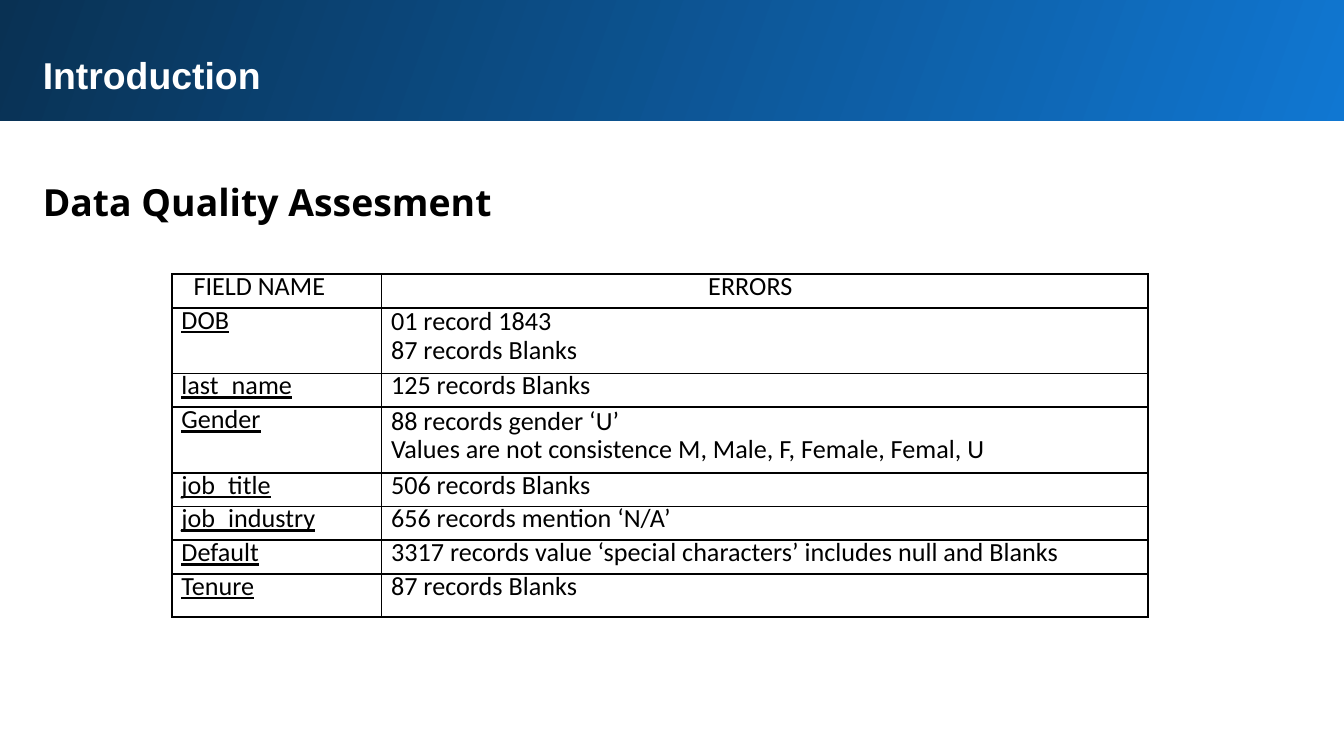
"""Build the data quality introduction slide with its table of field errors."""
from dataclasses import dataclass

import lxml.etree
import pptx
import pptx.dml.color
import pptx.enum.shapes
import pptx.enum.text
import pptx.oxml.ns
import pptx.util

Inches = pptx.util.Inches
Pt = pptx.util.Pt

BLACK = "000000"
WHITE = "FFFFFF"
SLIDE_WIDTH = 10
CELL_INDENT = 0.07
COLUMN_WIDTHS = (1.56, 5.7)
HEADER_CELLS = (("FIELD NAME", 0.16), ("ERRORS", 2.43))


@dataclass
class Heading:
    text: str
    top: float
    height: float
    font: str
    color: str
    line_spacing: float


@dataclass
class FieldErrors:
    field: str
    errors: tuple[str, ...]
    height: float = 0.25


HEADINGS = (
    Heading("Introduction", 0.29, 0.51, "Arial", WHITE, 1.0),
    Heading("Data Quality Assesment", 1.18, 0.56, "Open Sans", BLACK, 1.15),
)
FIELDS = (
    FieldErrors("DOB", ("01 record 1843", "87 records Blanks"), 0.49),
    FieldErrors("last_name", ("125 records Blanks",)),
    FieldErrors(
        "Gender",
        ("88 records gender ‘U’", "Values are not consistence M, Male, F, Female, Femal, U"),
        0.49,
    ),
    FieldErrors("job_title", ("506 records Blanks",)),
    FieldErrors("job_industry", ("656 records mention ‘N/A’",)),
    FieldErrors("Default", ("3317 records value ‘special characters’ includes null and Blanks",)),
    FieldErrors("Tenure", ("87 records Blanks",), 0.32),
)


def rgb(value: str) -> pptx.dml.color.RGBColor:
    return pptx.dml.color.RGBColor.from_string(value)


def add_run(p, text: str, size: float, font: str, color: str):
    r = p.add_run()
    r.text = text
    r.font.size = Pt(size)
    r.font.name = font
    r.font.color.rgb = rgb(color)
    return r


def add_banner(s) -> None:
    sp = s.shapes.add_shape(
        pptx.enum.shapes.MSO_SHAPE.RECTANGLE,
        Inches(-0.02), Inches(-0.02), Inches(10.05), Inches(0.92),
    )
    sp.shadow.inherit = False
    sp.line.fill.background()
    sp.fill.gradient()
    sp.fill.gradient_angle = 160
    for stop, color in zip(sp.fill.gradient_stops, ("1077D2", "093153")):
        stop.color.rgb = rgb(color)


def add_heading(s, heading: Heading) -> None:
    sp = s.shapes.add_textbox(
        Inches(0.22), Inches(heading.top), Inches(9.37), Inches(heading.height)
    )
    tf = sp.text_frame
    tf.word_wrap = True
    tf.auto_size = pptx.enum.text.MSO_AUTO_SIZE.SHAPE_TO_FIT_TEXT
    tf.margin_left = tf.margin_right = tf.margin_top = tf.margin_bottom = Inches(0.1)
    p = tf.paragraphs[0]
    p.line_spacing = heading.line_spacing
    r = add_run(p, heading.text, 20, heading.font, heading.color)
    r.font.bold = True


def add_borders(cell, color: str, width: float) -> None:
    qn = pptx.oxml.ns.qn
    tc_pr = cell._tc.get_or_add_tcPr()
    for side in ("lnL", "lnR", "lnT", "lnB"):
        ln = lxml.etree.SubElement(tc_pr, qn(f"a:{side}"), w=str(Pt(width)))
        fill = lxml.etree.SubElement(ln, qn("a:solidFill"))
        lxml.etree.SubElement(fill, qn("a:srgbClr"), val=color)


def fill_cell(
    cell, lines: tuple[str, ...], indent: float = CELL_INDENT, underline: bool = False
) -> None:
    cell.margin_left = cell.margin_right = cell.margin_top = cell.margin_bottom = 0
    add_borders(cell, BLACK, 1)
    cell.fill.background()
    tf = cell.text_frame
    for i, line in enumerate(lines):
        p = tf.add_paragraph() if i else tf.paragraphs[0]
        p.line_spacing = Pt(16.1 if i < len(lines) - 1 else 15.1)
        p_pr = p._p.get_or_add_pPr()
        p_pr.set("marL", str(Inches(indent)))
        p_pr.set("indent", "0")
        r = add_run(p, line, 14, "Calibri", BLACK)
        r.font.underline = underline


def add_error_table(s) -> None:
    heights = [0.25] + [f.height for f in FIELDS]
    table = s.shapes.add_table(
        len(heights), len(COLUMN_WIDTHS),
        Inches(1.28), Inches(2.04), Inches(sum(COLUMN_WIDTHS)), Inches(sum(heights)),
    ).table
    table.first_row = False
    table.horz_banding = False
    for column, width in zip(table.columns, COLUMN_WIDTHS):
        column.width = Inches(width)
    for row, height in zip(table.rows, heights):
        row.height = Inches(height)
    for col, (text, indent) in enumerate(HEADER_CELLS):
        fill_cell(table.cell(0, col), (text,), indent)
    for row, f in enumerate(FIELDS, 1):
        fill_cell(table.cell(row, 0), (f.field,), underline=True)
        fill_cell(table.cell(row, 1), f.errors)


def main() -> None:
    prs = pptx.Presentation()
    prs.slide_width = Inches(SLIDE_WIDTH)
    prs.slide_height = Inches(SLIDE_WIDTH * 9 / 16)
    s = prs.slides.add_slide(prs.slide_layouts[6])
    add_banner(s)
    for heading in HEADINGS:
        add_heading(s, heading)
    add_error_table(s)
    prs.save("out.pptx")


if __name__ == "__main__":
    main()
